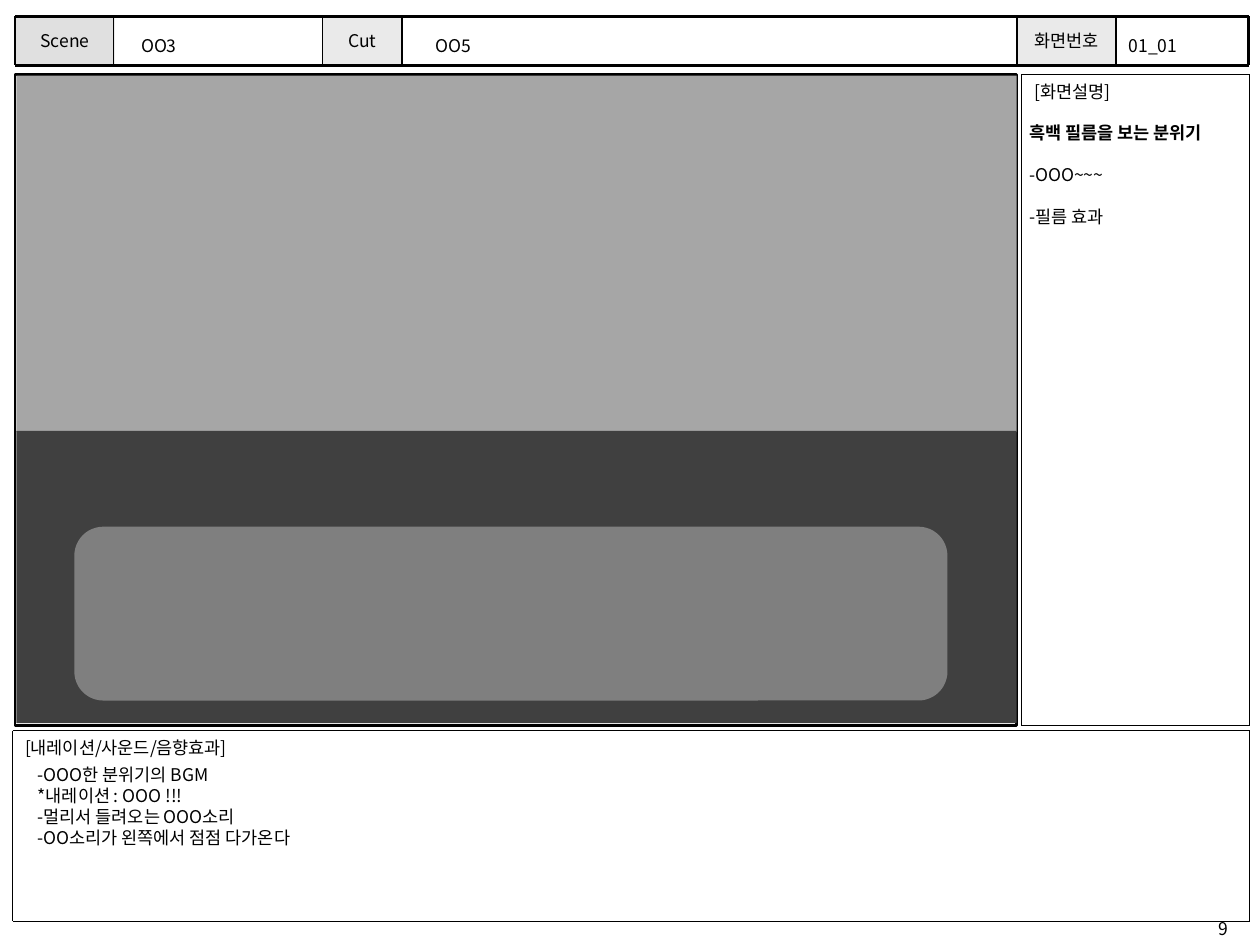
"""Build a storyboard sheet with a header row, a scene frame and two note panels."""
from dataclasses import dataclass

from lxml.etree import Element, SubElement
from pptx import Presentation
from pptx.dml.color import RGBColor
from pptx.enum.shapes import MSO_CONNECTOR, MSO_SHAPE
from pptx.enum.text import MSO_ANCHOR, MSO_AUTO_SIZE, PP_ALIGN
from pptx.oxml.ns import qn
from pptx.util import Pt

PX = 9144


@dataclass(frozen=True)
class Theme:
    font: str = "Noto Sans CJK KR"
    size: int = 10
    gap: int = 12
    ink: str = "000000"
    paper: str = "FFFFFF"
    scene: str = "E0E0E0"
    label: str = "EAEAEA"
    sky: str = "A6A6A6"
    ground: str = "404040"
    stage: str = "7F7F7F"
    hair: float = 0.25
    thin: float = 0.5
    medium: float = 1
    thick: float = 1.5


T = Theme()


def write(sp, lines, align=PP_ALIGN.LEFT, anchor=MSO_ANCHOR.TOP, gap=0, bold_first=False):
    tf = sp.text_frame
    tf.word_wrap, tf.auto_size, tf.vertical_anchor = True, MSO_AUTO_SIZE.NONE, anchor
    tf.text = "\n".join(lines)
    for i, p in enumerate(tf.paragraphs):
        p.alignment, p.space_before = align, Pt(gap if i else 0)
        f = p.font
        f.name, f.size, f.bold = T.font, Pt(T.size), bold_first and i == 0
        f.color.rgb = RGBColor.from_string(T.ink)
        SubElement(f._element if hasattr(f, "_element") else f._rPr, qn("a:ea"), typeface=T.font)
        pPr = p._p.get_or_add_pPr()
        pPr.set("marL", "0")
        pPr.set("indent", "0")
        pPr.find(qn("a:defRPr")).addprevious(Element(qn("a:buNone")))


def rule(x1, y1, x2, y2, width):
    ends = [v * PX for v in (x1, y1, x2, y2)]
    c = s.shapes.add_connector(MSO_CONNECTOR.STRAIGHT, *ends)
    c.line.color.rgb = RGBColor.from_string(T.ink)
    c.line.width = Pt(width)
    SubElement(c._element.spPr, qn("a:effectLst"))


prs = Presentation()
prs.slide_width, prs.slide_height = 1000 * PX, 750 * PX
s = prs.slides.add_slide(prs.slide_layouts[3])

# Placeholders
title, description, narration = s.placeholders
for sp, box in (
    (title, (102, 23, 114, 27)),
    (description, (807, 92, 193, 196)),
    (narration, (20, 601, 980, 94)),
):
    sp.left, sp.top, sp.width, sp.height = [v * PX for v in box]
write(title, ["OO3"])
write(description, ["흑백 필름을 보는 분위기", "-OOO~~~", "-필름 효과"], gap=T.gap, bold_first=True)
write(narration, ["-OOO한 분위기의 BGM", "*내레이션 : OOO !!!", "-멀리서 들려오는 OOO소리",
                  "-OO소리가 왼쪽에서 점점 다가온다"])

for kind, box, fill, label in (
    (MSO_SHAPE.RECTANGLE, (12, 59, 795, 517), None, ""),
    (MSO_SHAPE.RECTANGLE, (13, 60, 794, 283), T.sky, ""),
    (MSO_SHAPE.RECTANGLE, (13, 342, 794, 232), T.ground, ""),
    (MSO_SHAPE.ROUNDED_RECTANGLE, (59, 418, 693, 138), T.stage, ""),
    (MSO_SHAPE.RECTANGLE, (12, 13, 79, 39), T.scene, "Scene"),
    (MSO_SHAPE.RECTANGLE, (256, 13, 63, 39), T.label, "Cut"),
    (MSO_SHAPE.RECTANGLE, (807, 13, 79, 39), T.label, "화면번호"),
):
    sp = s.shapes.add_shape(kind, *[v * PX for v in box])
    sp.shadow.inherit = False
    if fill:
        sp.fill.solid()
        sp.fill.fore_color.rgb = RGBColor.from_string(fill)
        sp.line.fill.background()
    else:
        sp.fill.background()
        sp.line.color.rgb = RGBColor.from_string(T.ink)
        sp.line.width = Pt(T.thick)
    if label:
        write(sp, [label], PP_ALIGN.CENTER, MSO_ANCHOR.MIDDLE)

for x1, y1, x2, y2, width in (
    (811, 59, 992, 576, T.thin),
    (10, 580, 992, 731, T.thin),
    (12, 13, 991, 52, T.thick),
):
    for x in (x1, x2):
        rule(x, y1, x, y2, width)
    for y in (y1, y2):
        rule(x1, y, x2, y, width)

for x, width in ((90, T.hair), (256, T.medium), (319, T.medium), (807, T.medium), (886, T.medium)):
    rule(x, 13, x, 52, width)

for box, text in (
    ((811, 59, 181, 518), "[화면설명]"),
    ((10, 580, 981, 151), "[내레이션/사운드/음향효과]"),
    ((336, 23, 463, 27), "OO5"),
    ((886, 23, 98, 27), "01_01"),
    ((957, 724, 43, 26), "9"),
):
    write(s.shapes.add_textbox(*[v * PX for v in box]), [text])

prs.save("out.pptx")
